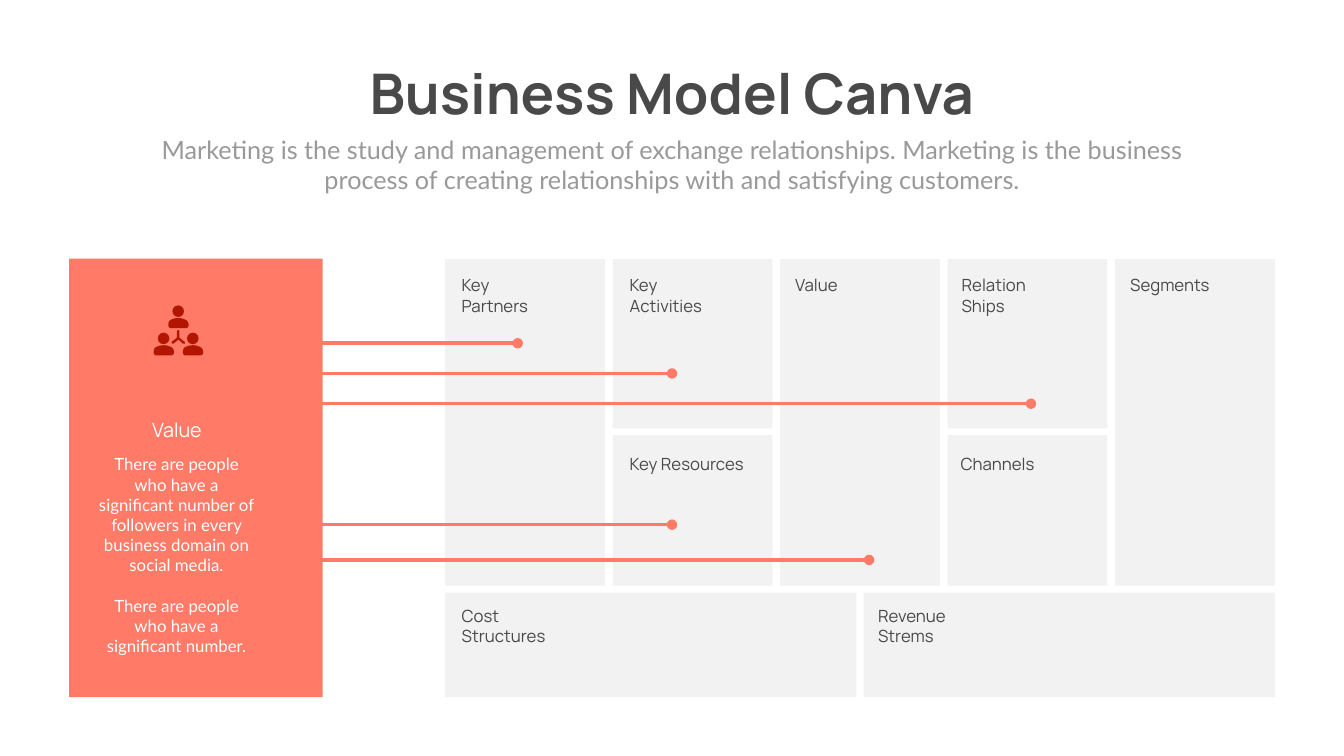
from lxml import etree
from pptx import Presentation
from pptx import util as u
from pptx.dml.color import RGBColor
from pptx.enum import shapes, text
from pptx.oxml.ns import qn

PX = 9144  # EMU per px, 100 px to the inch
CORAL, DARK_RED, CARD, INK, GREY, WHITE = (
    "FF7A67", "B31600", "F2F2F2", "494949", "999999", "FFFFFF")


def px(*values):
    return [u.Emu(round(v * PX)) for v in values]


def rgb(value):
    return RGBColor.from_string(value)


def write(tf, content, font="Manrope", size=24, color=INK, bold=False,
          align=text.PP_ALIGN.LEFT, gap=0):
    """Write one paragraph per line of content, gap points apart."""
    for i, line in enumerate(content.split("\n")):
        p = tf.add_paragraph() if i else tf.paragraphs[0]
        p.alignment = align
        if i and gap:
            p.space_before = u.Pt(gap)
        r = p.add_run()
        r.text = line
        r.font.name, r.font.size, r.font.bold = font, u.Pt(size), bold
        r.font.color.rgb = rgb(color)


def curve(start, end, n=8):
    """Points along a cubic curve; end holds two controls and the end point."""
    pts = [start, end[:2], end[2:4], end[4:]]
    for i in range(1, n + 1):
        t = i / n
        weights = (1 - t) ** 3, 3 * t * (1 - t) ** 2, 3 * t * t * (1 - t), t ** 3
        yield tuple(sum(w * p[k] for w, p in zip(weights, pts)) for k in (0, 1))


class Canvas:
    def __init__(self, slide, accent=CORAL, icon=DARK_RED):
        self.shapes = slide.shapes
        self.accent, self.icon = accent, icon

    def paint(self, sp, color):
        sp.shadow.inherit = False
        sp.fill.solid()
        sp.fill.fore_color.rgb = rgb(color)
        sp.line.fill.background()

    def block(self, x, y, w, h, color):
        sp = self.shapes.add_shape(shapes.MSO_SHAPE.ROUNDED_RECTANGLE, *px(x, y, w, h))
        sp.adjustments[0] = 0
        self.paint(sp, color)

    def label(self, x, y, w, h, content, wrap=True, **style):
        tf = self.shapes.add_textbox(*px(x, y, w, h)).text_frame
        tf.word_wrap = wrap
        tf.auto_size = text.MSO_AUTO_SIZE.SHAPE_TO_FIT_TEXT
        write(tf, content, **style)

    def pointer(self, x1, x2, y):
        """Horizontal line that ends in a dot."""
        sp = self.shapes.add_connector(shapes.MSO_CONNECTOR.STRAIGHT, *px(x1, y, x2, y))
        sp.line.width = u.Pt(5)
        sp.line.color.rgb = rgb(self.accent)
        etree.SubElement(sp.line._get_or_add_ln(), qn("a:tailEnd"), type="oval")
        etree.SubElement(sp._element.spPr, qn("a:effectLst"))

    def outline(self, x, y, start, *steps):
        """Closed shape of lines (2 numbers) and cubic curves (6 numbers)."""
        pts = [start]
        for step in steps:
            pts.extend([step] if len(step) == 2 else curve(pts[-1], step))
        pts = [px(x + a, y + b) for a, b in pts]
        fb = self.shapes.build_freeform(*pts[0])
        fb.add_line_segments(pts[1:], close=True)
        self.paint(fb.convert_to_shape(), self.icon)

    def person(self, x, y):
        head = self.shapes.add_shape(shapes.MSO_SHAPE.OVAL, *px(x + 9, y, 23, 23))
        self.paint(head, self.icon)
        self.outline(x, y + 24, (5, 21), (36, 21), (39, 21, 41, 18, 41, 16),
                     (41, 14), (41, 10, 39, 7, 36, 5), (32, 3, 27, 1, 21, 1),
                     (14, 1, 9, 3, 5, 5), (2, 7, 1, 10, 1, 14), (1, 16),
                     (1, 18, 3, 21, 5, 21))

    def hub(self, x, y):
        """Three-armed link between the people."""
        self.outline(x, y, (25, 27), (26, 27, 27, 27, 27, 26), (27, 25, 27, 24, 26, 23),
                     (16, 15), (16, 3), (16, 1, 15, 0, 14, 0), (12, 0, 11, 1, 11, 3),
                     (11, 15), (1, 23), (0, 24, 0, 25, 1, 26), (1, 27, 3, 27, 4, 27),
                     (14, 19), (23, 27), (24, 27, 24, 27, 25, 27))


LEFT, TOP, PITCH, CARD_W = 883, 514, 332.25, 317
LOWER, BOTTOM, WIDE = 863, 1176, 816
FULL_H, UPPER_H, LOWER_H, BOTTOM_H = 648, 336, 299, 207

# column, top, height, label, label inset x and y, label width and height
CARDS = [
    (0, TOP, FULL_H, "Key Partners", 23, 27, 208, 91),
    (1, TOP, UPPER_H, "Key Activities", 24, 27, 207, 91),
    (1, LOWER, LOWER_H, "Key Resources", 24, 33, 248, 91),
    (2, TOP, FULL_H, "Value", 20, 27, 164, 50),
    (3, TOP, UPPER_H, "Relation Ships", 18, 27, 207, 91),
    (3, LOWER, LOWER_H, "Channels", 16, 33, 275, 50),
    (4, TOP, FULL_H, "Segments", 20, 27, 273, 50),
]
WIDE_CARDS = [(LEFT, "Cost Structures", 23), (1713, "Revenue Strems", 19)]
POINTERS = [(1027, 681), (1333, 741), (2045, 801), (1333, 1041), (1724, 1111)]
PEOPLE = [(333, 606), (304, 660), (362, 660)]


def main():
    prs = Presentation()
    prs.slide_width, prs.slide_height = px(2666, 1500)
    s = Canvas(prs.slides.add_slide(prs.slide_layouts[6]))
    center = text.PP_ALIGN.CENTER

    s.label(673, 112, 1320, 145, "Business Model Canva", wrap=False,
            size=80, bold=True, align=center)
    s.label(292, 261, 2082, 131,
            "Marketing is the study and management of exchange relationships. "
            "Marketing is the business process of creating relationships with "
            "and satisfying customers.",
            font="Lato", size=36, color=GREY, align=center)

    for col, y, h, name, dx, dy, label_w, label_h in CARDS:
        x = LEFT + col * PITCH
        s.block(x, y, CARD_W, h, CARD)
        s.label(x + dx, y + dy, label_w, label_h, name)
    for x, name, dx in WIDE_CARDS:
        s.block(x, BOTTOM, WIDE, BOTTOM_H, CARD)
        s.label(x + dx, BOTTOM + 20, 228, 91, name)

    s.block(137, 513, 503, 870, CORAL)
    s.label(199, 824, 304, 57, "Value", size=28, color=WHITE, align=center)
    s.label(185, 896, 330, 414,
            "There are people who have a significant number of followers in "
            "every business domain on social media.\n"
            "There are people who have a significant number.",
            font="Lato", color=WHITE, align=center, gap=29)
    for x, y in PEOPLE:
        s.person(x, y)
    s.hub(340, 655)

    for end, y in POINTERS:
        s.pointer(639, end, y)

    prs.save("out.pptx")


if __name__ == "__main__":
    main()
